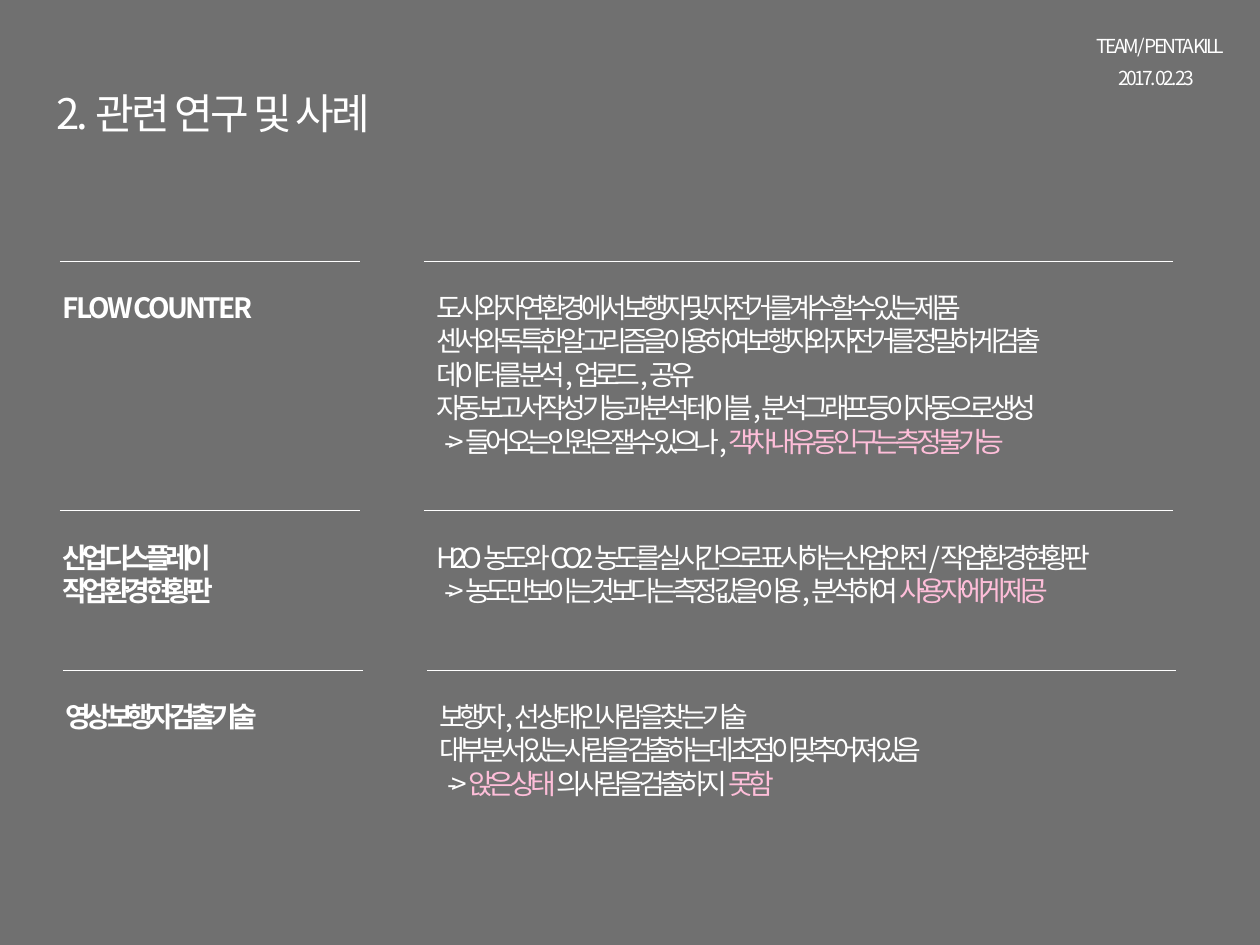
from lxml import etree
from pptx import Presentation
from pptx import util as u
from pptx.dml.color import RGBColor
from pptx.enum import shapes, text
from pptx.oxml.ns import qn

PX = 914400 // 126
FONT = "Noto Sans CJK KR"
COLORS = {"black": "000000", "white": "FFFFFF", "pink": "FEBED9"}

# Content: (text, left, top, width, height, size, wrap)
HEADINGS = [
    ("TEAM / PENTA KILL", 1084, 28, 155, 36, 11, False),
    ("2017. 02. 23", 1106, 60, 111, 36, 11, False),
    ("2. 관련 연구 및 사례", 44, 81, 344, 63, 24, True),
]

# A body line is a list of (text, colour) runs; a line starting with "->" is indented
SECTIONS = [
    {"x": 60, "y": 261, "body_width": 725, "spacing": -150,
     "title": ["FLOW COUNTER"],
     "body": [
         [("도시와 자연 환경에서 보행자 및 자전거를 계수할 수 있는 제품", "white")],
         [("센서와 독특한 알고리즘을 이용하여 보행자와 자전거를 정밀하게 검출", "white")],
         [("데이터를 분석, 업로드, 공유", "white")],
         [("자동 보고서 작성 기능과 분석 테이블, 분석 그래프 등이 자동으로 생성", "white")],
         [("-> 들어오는 인원은 잴 수 있으나, ", "white"),
          ("객차 내 유동 인구는 측정 불가능", "pink")],
     ]},
    {"x": 60, "y": 511, "body_width": 742, "spacing": -300,
     "title": ["산업 디스플레이", "작업 환경 현황판"],
     "body": [
         [("H2O 농도와 CO2 농도를 실시간으로 표시하는 산업안전/작업환경 현황판", "white")],
         [("-> 농도만 보이는 것보다는 측정 값을 이용, 분석하여 ", "white"),
          ("사용자에게 제공", "pink")],
     ]},
    {"x": 63, "y": 670, "body_width": 600, "spacing": -300,
     "title": ["영상 보행자 검출 기술"],
     "body": [
         [("보행자, 선 상태인 사람을 찾는 기술", "white")],
         [("대부분 서 있는 사람을 검출하는데 초점이 맞추어져 있음", "white")],
         [("-> ", "white"), ("앉은 상태", "pink"),
          ("의 사람을 검출하지 ", "white"), ("못함", "pink")],
     ]},
]

# Layout
RULE_WIDTHS = (300, 749)
BODY_DX = 364
TITLE_DX = -10
TEXT_DY = 23
LINE_H, PAD_H = 34, 13
ARROW_INDENT = 8

prs = Presentation()
prs.slide_width, prs.slide_height = u.Inches(10), u.Inches(7.5)
s = prs.slides.add_slide(prs.slide_layouts[6])


def px(*values):
    return [v * PX for v in values]


def rgb(name):
    return RGBColor.from_string(COLORS[name])


def add_text(lines, box, size, spacing, bold=False, wrap=False):
    sp = s.shapes.add_textbox(*px(*box))
    tf = sp.text_frame
    tf.word_wrap = wrap
    tf.auto_size = text.MSO_AUTO_SIZE.SHAPE_TO_FIT_TEXT
    for i, line in enumerate(lines):
        p = tf.add_paragraph() if i else tf.paragraphs[0]
        p.alignment = text.PP_ALIGN.LEFT
        if line[0][0].startswith("->"):
            p._p.get_or_add_pPr().set("marL", str(ARROW_INDENT * PX))
        for content, color in line:
            r = p.add_run()
            r.text = content
            r.font.size, r.font.bold, r.font.name = u.Pt(size), bold, FONT
            r.font.color.rgb = rgb(color)
            rpr = r._r.get_or_add_rPr()
            rpr.set("spc", str(spacing))
            etree.SubElement(rpr, qn("a:ea")).set("typeface", FONT)


def add_rule(x, y, width):
    c = s.shapes.add_connector(shapes.MSO_CONNECTOR.STRAIGHT, *px(x, y, x + width, y))
    c.line.color.rgb = rgb("white")
    c.line.width = u.Pt(0.5)
    etree.SubElement(c._element.spPr, qn("a:effectLst"))


# Translucent dark backdrop over the white slide
backdrop = s.shapes.add_shape(shapes.MSO_SHAPE.RECTANGLE, *px(-13, -13, 1289, 973))
backdrop.shadow.inherit = False
backdrop.fill.solid()
backdrop.fill.fore_color.rgb = rgb("black")
fill_color = backdrop._element.spPr.find(qn("a:solidFill"))[0]
etree.SubElement(fill_color, qn("a:alpha")).set("val", "56000")
backdrop.line.color.rgb = rgb("black")
backdrop.line.width = u.Pt(1)

# Team, date and slide title
for content, x, y, w, h, size, wrap in HEADINGS:
    add_text([[(content, "white")]], (x, y, w, h), size, -150, wrap=wrap)

# Sections: a rule above each title and each body
for sec in SECTIONS:
    x, y = sec["x"], sec["y"]
    for rule_x, width in zip((x, x + BODY_DX), RULE_WIDTHS):
        add_rule(rule_x, y, width)
    top = y + TEXT_DY
    add_text([[(t, "white")] for t in sec["title"]],
             (x + TITLE_DX, top, 261, PAD_H + LINE_H * len(sec["title"])),
             16, sec["spacing"], bold=True, wrap=True)
    add_text(sec["body"],
             (x + BODY_DX, top, sec["body_width"], PAD_H + LINE_H * len(sec["body"])),
             16, -300)

prs.save("out.pptx")
